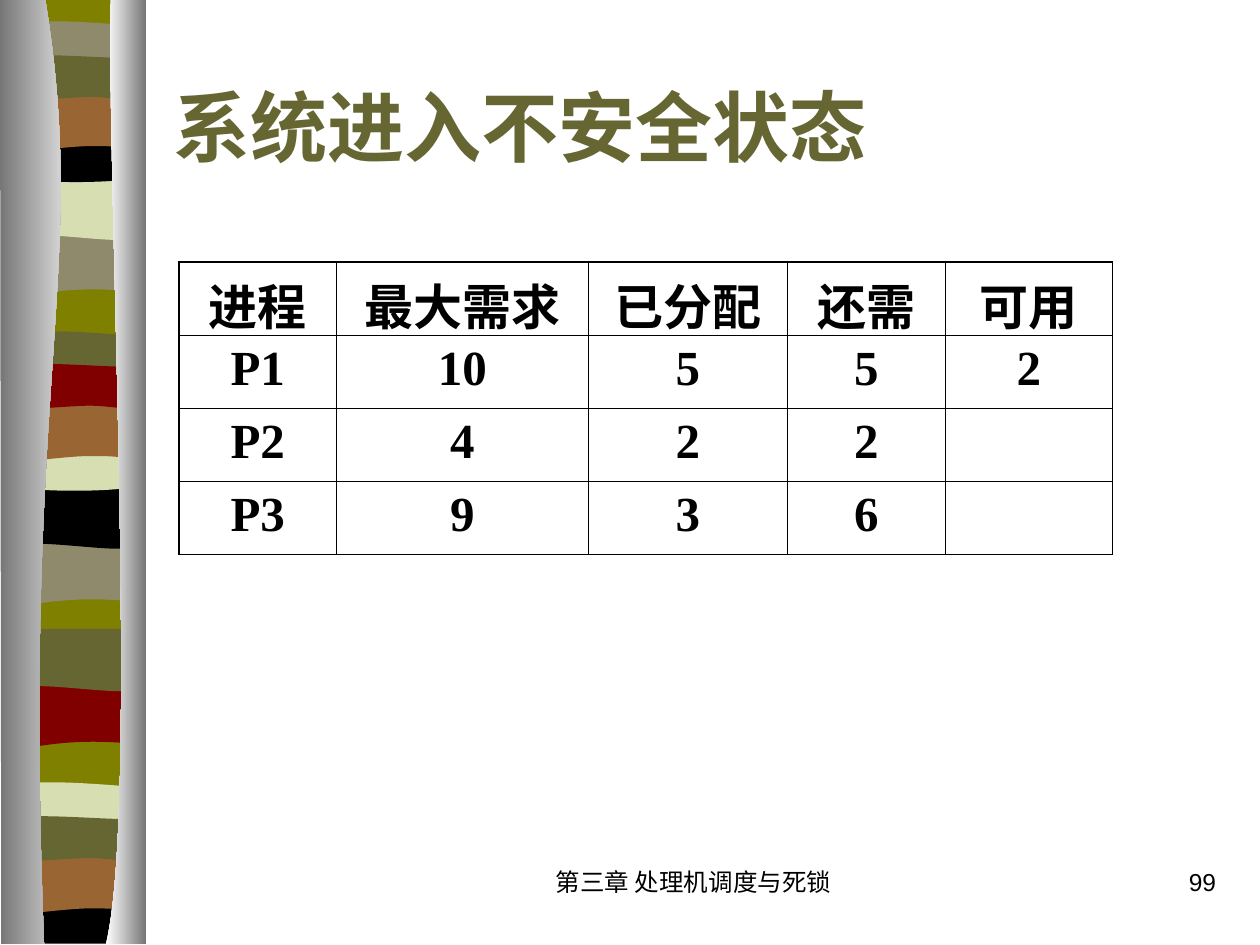
from lxml.etree import SubElement
from pptx import Presentation
from pptx.dml.color import RGBColor
from pptx.enum.text import MSO_ANCHOR as Anchor, PP_ALIGN as Align
from pptx.oxml import parse_xml
from pptx.oxml.ns import nsdecls, qn
from pptx.util import Inches, Pt

COLORS = {
    "olive": "808000", "stone": "908A6C", "cream": "D6DEB2", "moss": "666633",
    "brown": "996633", "maroon": "800000", "black": "000000",
    "shade": "767676", "white": "FFFFFF",
}
CJK_FONT = "Noto Sans CJK SC"

presentation = Presentation()
presentation.slide_width, presentation.slide_height = Inches(10), Inches(7.5)
column = presentation.slide_width / 10
row = presentation.slide_height / 7.5
slide = presentation.slides.add_slide(presentation.slide_layouts[6])


def add_outline(segments, left=0, top=0):
    points = [
        ((left + x) * column, (top + y) * row)
        for segment in segments
        for x, y in zip(segment[::2], segment[1::2])
    ]
    builder = slide.shapes.build_freeform(*points[0], scale=1.0)
    builder.add_line_segments(points[1:], close=True)
    shape = builder.convert_to_shape()
    shape.shadow.inherit = False
    shape.line.fill.background()
    steps = iter(list(shape._element.find(".//" + qn("a:path"))))
    for segment in segments:
        step = next(steps)
        if len(segment) == 6:
            step.tag = qn("a:cubicBezTo")
            for _ in range(2):
                extra = next(steps)
                step.append(extra[0])
                extra.getparent().remove(extra)
    return shape


def format_text(paragraph, size, font_name, color, bold=False, align=Align.LEFT):
    paragraph.alignment = align
    for run in paragraph.runs:
        run.font.size, run.font.bold, run.font.name = Pt(size), bold, font_name
        run.font.color.rgb = RGBColor.from_string(COLORS[color])
        SubElement(run.font._element, qn("a:ea"), typeface=CJK_FONT)


BAND_OUTLINES = {
    "base": [(1.08, 0), (1.08, 7.47), (0, 7.47), (0, 0)],
    "scoop": [(1.08, 0), (1.08, 0.47), (0.33, 0.39, 0.18, 0.55, 0, 0.47), (0, 0)],
    "swell": [(1.08, 0), (1.08, 0.47), (0.9, 0.55, 0.33, 0.41, 0, 0.47), (0, 0)],
    "ribbon": [
        (1.08, 0.05), (1.08, 0.29), (0.9, 0.33, 0.18, 0.33, 0, 0.29), (0, 0.05),
        (0.06, 0, 0.23, 0.01, 0.41, 0.01), (0.59, 0.01, 0.94, 0.04, 1.08, 0.05),
    ],
    "dip": [
        (1.08, 0), (1.08, 0.32), (0.9, 0.38, 0.18, 0.38, 0, 0.32), (0, 0),
        (0.66, 0.05, 0.85, 0, 1.08, 0),
    ],
    "foot": [
        (1.08, 0), (1.08, 0.37), (0, 0.37), (0, 0),
        (0.66, 0.05, 0.85, 0, 1.08, 0),
    ],
    "arch": [
        (1.08, 0), (1.08, 0.47), (0.91, 0.42, 0.84, 0.42, 0.66, 0.42),
        (0.48, 0.42, 0.16, 0.47, 0, 0.47), (0, 0),
    ],
    "leaf": [
        (1.08, 0.05), (1.08, 0.36), (1.01, 0.41, 0.84, 0.36, 0.66, 0.36),
        (0.48, 0.36, 0.11, 0.41, 0, 0.36), (0, 0.05),
        (0.15, 0, 0.73, 0.05, 0.91, 0.05), (1.09, 0.05, 1.04, 0.05, 1.08, 0.05),
    ],
}
bands = [
    ("base", "olive", 0.06, 0),
    ("scoop", "stone", 0.06, 1.85), ("swell", "cream", 0.06, 1.41),
    ("ribbon", "stone", 0.06, 0.16), ("dip", "black", 0.06, 1.08),
    ("arch", "brown", 0.06, 0.74), ("leaf", "moss", 0.06, 0.41),
    ("scoop", "stone", 0.05, 4.31), ("swell", "black", 0.05, 3.86),
    ("ribbon", "moss", 0.05, 2.62), ("dip", "cream", 0.05, 3.53),
    ("arch", "brown", 0.05, 3.2), ("leaf", "maroon", 0.05, 2.86),
    ("scoop", "maroon", 0.06, 5.44), ("swell", "moss", 0.06, 4.99),
    ("ribbon", "cream", 0.05, 6.2), ("foot", "black", 0.05, 7.12),
    ("arch", "brown", 0.05, 6.79), ("leaf", "moss", 0.05, 6.45),
]
for outline, color, left, top in bands:
    band = add_outline(BAND_OUTLINES[outline], left, top)
    band.fill.solid()
    band.fill.fore_color.rgb = RGBColor.from_string(COLORS[color])

pillars = [
    ([(0.36, 0), (0.71, 2.16, 0.17, 2.96, 0.35, 7.49), (0.01, 7.49), (0, 0)],
     ("shade", "white")),
    ([(0.88, 0), (0.84, 1.25, 1.11, 6.46, 0.84, 7.49), (1.16, 7.49), (1.16, 0)],
     ("white", "shade")),
]
for outline, gradient in pillars:
    pillar = add_outline(outline)
    pillar.fill.gradient()
    pillar.fill.gradient_angle = 0
    for position, (stop, color) in enumerate(zip(pillar.fill.gradient_stops, gradient)):
        stop.position = position
        stop.color.rgb = RGBColor.from_string(COLORS[color])

labels = [
    ("系统进入不安全状态", (1.28, 0.5, 8.5, 1), Anchor.MIDDLE,
     (44, CJK_FONT, "moss", True, Align.LEFT)),
    ("第三章 处理机调度与死锁", (3.92, 6.83, 3.17, 0.5), Anchor.TOP,
     (14, "Arial", "black", False, Align.CENTER)),
    ("99", (7.67, 6.83, 2.08, 0.5), Anchor.TOP,
     (14, "Arial", "black", False, Align.RIGHT)),
]
for text, (left, top, width, height), anchor, style in labels:
    box = slide.shapes.add_textbox(
        int(left * column), int(top * row), int(width * column), int(height * row))
    text_frame = box.text_frame
    text_frame.word_wrap = True
    text_frame.vertical_anchor = anchor
    text_frame.text = text
    format_text(text_frame.paragraphs[0], *style)

processes = [
    ("进程", "最大需求", "已分配", "还需", "可用"),
    ("P1", "10", "5", "5", "2"),
    ("P2", "4", "2", "2", ""),
    ("P3", "9", "3", "6", ""),
]
column_widths = [1.25, 2, 1.58, 1.25, 1.33]
last_row, last_column = len(processes) - 1, len(column_widths) - 1
table = slide.shapes.add_table(
    len(processes), len(column_widths), int(1.42 * column), int(2.08 * row),
    int(sum(column_widths) * column), int(2.32 * row)).table
table.first_row = table.horz_banding = False
for table_column, width in zip(table.columns, column_widths):
    table_column.width = int(width * column)
for row_index, values in enumerate(processes):
    table.rows[row_index].height = int(0.58 * row)
    for column_index, value in enumerate(values):
        cell = table.cell(row_index, column_index)
        cell.text = value
        cell.fill.background()
        format_text(cell.text_frame.paragraphs[0], 28, "Times New Roman", "black",
                    True, Align.CENTER)
        outer_sides = {
            "lnL": column_index == 0, "lnR": column_index == last_column,
            "lnT": row_index == 0, "lnB": row_index == last_row,
        }
        for order, (side, is_outer) in enumerate(outer_sides.items()):
            line_width = Pt(1.08 if is_outer else 0.45)
            cell._tc.get_or_add_tcPr().insert(order, parse_xml(
                f'<a:{side} {nsdecls("a")} w="{line_width}"><a:solidFill>'
                f'<a:srgbClr val="{COLORS["black"]}"/></a:solidFill></a:{side}>'))

presentation.save("out.pptx")
